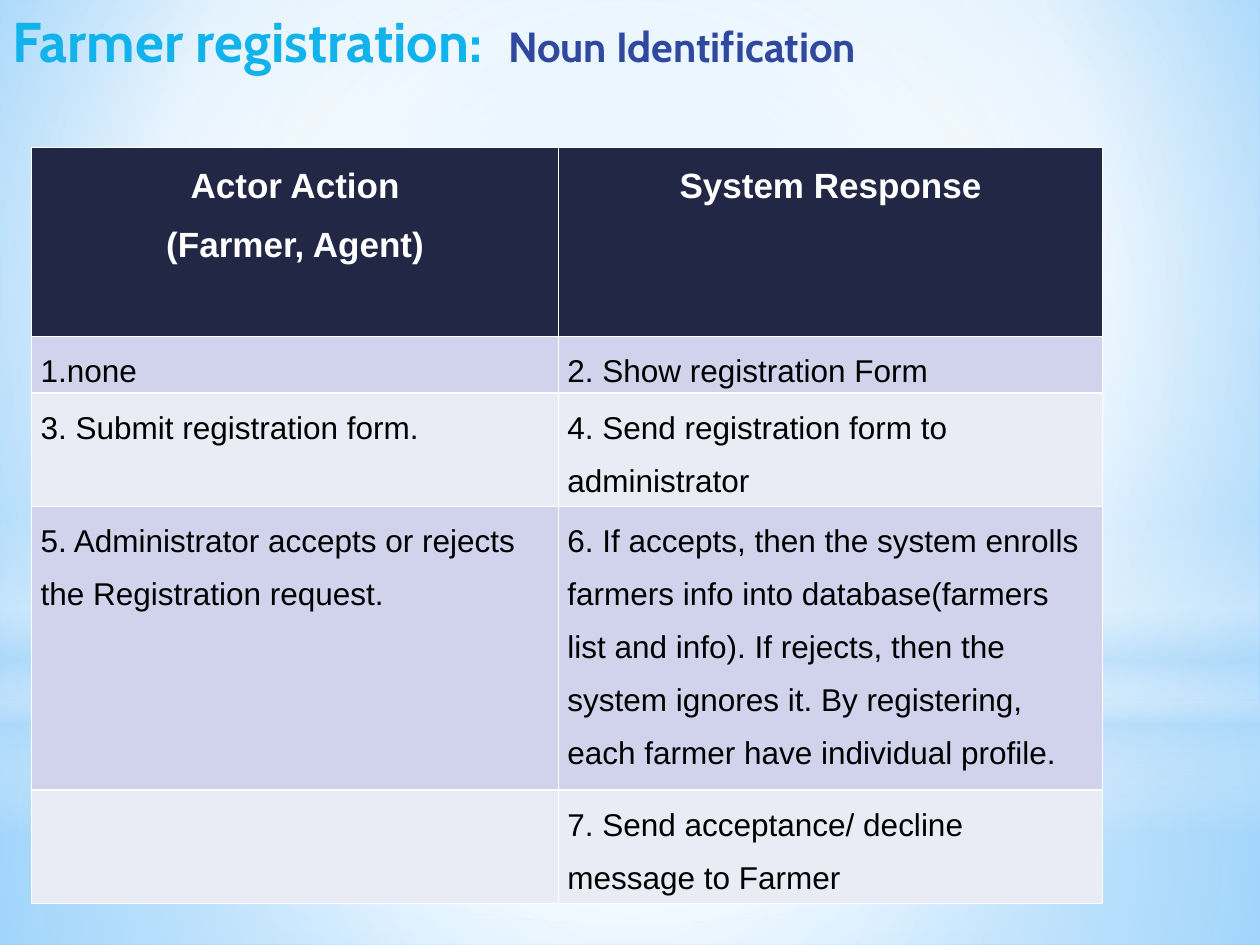
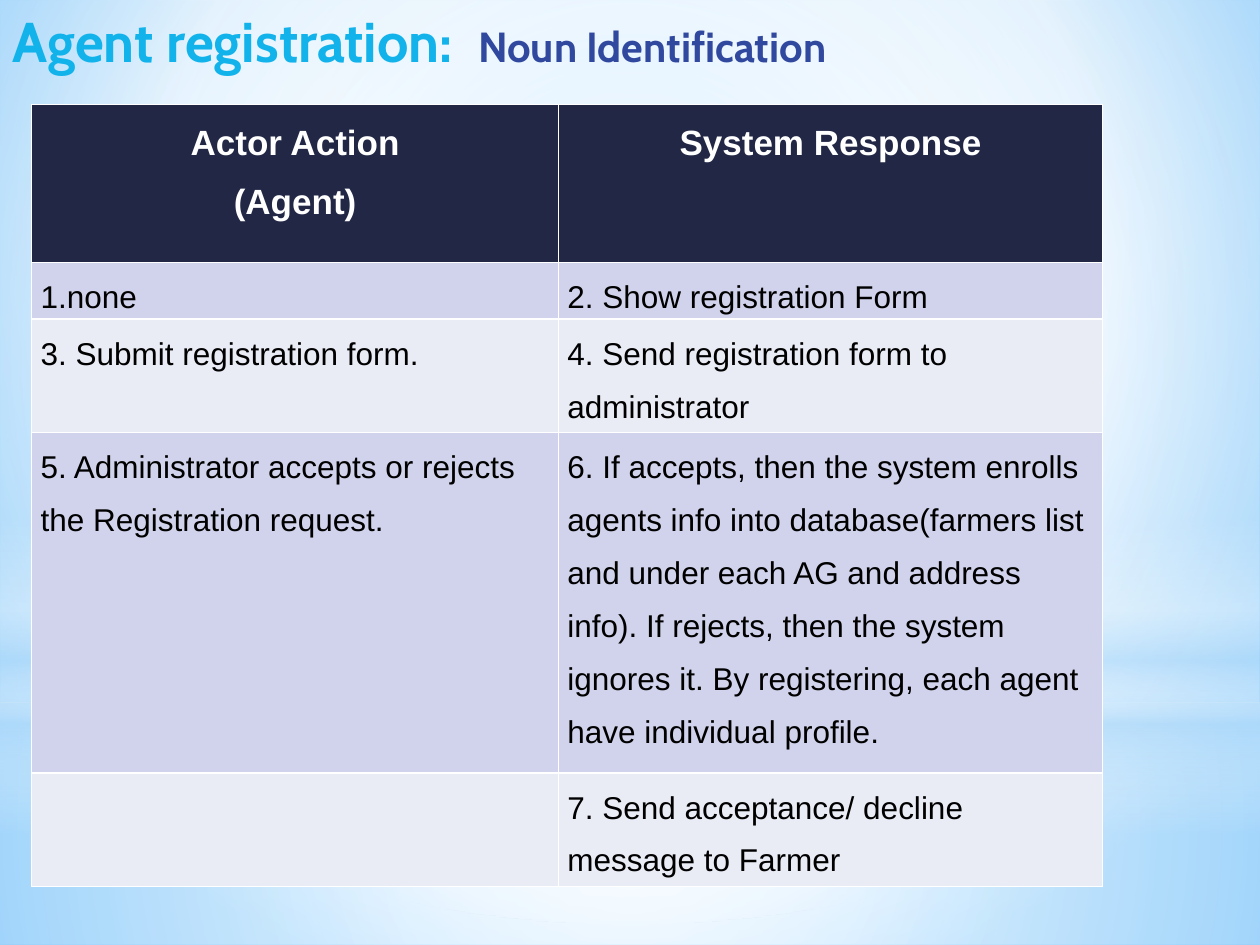
from lxml.etree import SubElement
from pptx import Presentation
from pptx.dml.color import RGBColor
from pptx.enum.shapes import MSO_SHAPE
from pptx.enum.text import MSO_ANCHOR, MSO_AUTO_SIZE, PP_ALIGN
from pptx.oxml.ns import qn
from pptx.util import Cm, Pt

SKY, NAVY, WHITE, BLACK = "12B2EB", "31489F", "FFFFFF", "000000"
HEAD, BANDS = "212745", ("D0D3EB", "E9EBF5")
MIST = "B4DCFA"
LINE = 1.14  # row height per line of text, in cm


def blend(props, stops, rect=None):
    """Turn the solid fill in props into a gradient: round if rect is given, else downward."""
    solid = props.find(qn("a:solidFill"))
    grad = props.makeelement(qn("a:gradFill"), {"rotWithShape": "1"})
    props.replace(solid, grad)
    row = SubElement(grad, qn("a:gsLst"))
    for pos, color, alpha in stops:
        stop = SubElement(row, qn("a:gs"), pos=str(pos * 1000))
        tint = SubElement(stop, qn("a:srgbClr"), val=color)
        if alpha < 100:
            SubElement(tint, qn("a:alpha"), val=str(alpha * 1000))
    if rect:
        round_ = SubElement(grad, qn("a:path"), path="circle")
        sides = {side: str(n * 1000) for side, n in zip("ltrb", rect)}
        SubElement(round_, qn("a:fillToRect"), **sides)
    else:
        SubElement(grad, qn("a:lin"), ang="5400000", scaled="0")


def write(para, text, font, size, color, bold):
    run = para.add_run()
    run.text = text
    run.font.name, run.font.size, run.font.bold = font, Pt(size), bold
    run.font.color.rgb = RGBColor.from_string(color)


prs = Presentation()
prs.slide_width, prs.slide_height = Cm(25.4), Cm(19.05)
layout = prs.slide_layouts[5]
master = prs.slide_master

# Shared backdrop, kept on the master
master.background.fill.solid()
blend(master.element.find(".//" + qn("p:bgPr")),
      [(0, "9ED5FF", 100), (60, WHITE, 100), (100, "5BB9FF", 100)], (20, 10, 20, 60))

MID = (50, 50, 50, 50)
glows = [
    (MSO_SHAPE.RECTANGLE, 14.17, 4.88,
     [(0, WHITE, 91), (37, WHITE, 76), (100, MIST, 79)], MID),
    (MSO_SHAPE.RECTANGLE, 0, 14.17,
     [(0, WHITE, 89), (48, WHITE, 62), (100, MIST, 79)], MID),
    (MSO_SHAPE.RECTANGLE, 10.46, 6.35,
     [(0, WHITE, 0), (29, WHITE, 30), (45, MIST, 40), (55, WHITE, 26),
      (65, MIST, 60), (100, WHITE, 0)], None),
    (MSO_SHAPE.OVAL, 4.45, 14.17, [(0, WHITE, 100), (56, WHITE, 0)], MID),
]
first = prs.slides.add_slide(layout)
for spot, (kind, top, height, stops, rect) in enumerate(glows):
    glow = first.shapes.add_shape(kind, 0, Cm(top), prs.slide_width, Cm(height))
    glow.shadow.inherit = False
    glow.line.fill.background()
    glow.fill.solid()
    blend(glow.element.spPr, stops, rect)
    master.shapes.element.insert(2 + spot, glow.element)

SHOW = ("1.none", "2. Show registration Form", 1)
SEND = ("3. Submit registration form.", "4. Send registration form to administrator", 2)
JUDGE = "5. Administrator accepts or rejects the Registration request."
REPLY = ("", "7. Send acceptance/ decline message to Farmer", 2)

# Title, actors, table top, header height, enrolment text and its line count
pages = [
    ("Farmer registration:  ", "(Farmer, Agent)", 2.97, 3.81,
     "6. If accepts, then the system enrolls farmers info into database(farmers list "
     "and info). If rejects, then the system ignores it. By registering, each farmer "
     "have individual profile.", 5),
    ("Agent registration:  ", "(Agent)", 2.11, 3.18,
     "6. If accepts, then the system enrolls agents info into database(farmers list "
     "and under each AG and address info). If rejects, then the system ignores it. "
     "By registering, each agent have individual profile.", 6),
]

for num, (name, actors, top, head, enrol, count) in enumerate(pages):
    slide = prs.slides.add_slide(layout) if num else first

    title = slide.shapes.title
    title.left, title.top, title.width, title.height = 0, 0, Cm(22.66), Cm(1.63)
    frame = title.text_frame
    frame.vertical_anchor = MSO_ANCHOR.TOP
    frame.auto_size = MSO_AUTO_SIZE.SHAPE_TO_FIT_TEXT
    para = frame.paragraphs[0]
    para.alignment = PP_ALIGN.LEFT
    write(para, name, "Cabin", 32, SKY, True)
    write(para, "Noun Identification", "Cabin", 24, NAVY, True)

    steps = [SHOW, SEND, (JUDGE, enrol, count), REPLY]
    rows = [("Actor Action\n" + actors, "System Response")]
    rows += [step[:2] for step in steps]
    highs = [head] + [step[2] * LINE for step in steps]
    grid = slide.shapes.add_table(len(rows), 2, Cm(0.64), Cm(top),
                                  Cm(21.59), Cm(sum(highs))).table
    grid.horz_banding = False
    for col, wide in zip(grid.columns, (10.62, 10.97)):
        col.width = Cm(wide)

    for r, (texts, high) in enumerate(zip(rows, highs)):
        grid.rows[r].height = Cm(high)
        for c, text in enumerate(texts):
            cell = grid.cell(r, c)
            cell.fill.solid()
            shade = BANDS[(r - 1) % 2] if r else HEAD
            cell.fill.fore_color.rgb = RGBColor.from_string(shade)
            cell.margin_left = cell.margin_right = Cm(0.18)
            cell.margin_top = cell.margin_bottom = 0
            if not text:
                continue
            frame = cell.text_frame
            for n, words in enumerate(text.split("\n")):
                para = frame.add_paragraph() if n else frame.paragraphs[0]
                para.line_spacing = 1.5
                para.alignment = PP_ALIGN.LEFT if r else PP_ALIGN.CENTER
                write(para, words, "Arial", 18 if r else 20,
                      BLACK if r else WHITE, not r)

prs.save("out.pptx")
